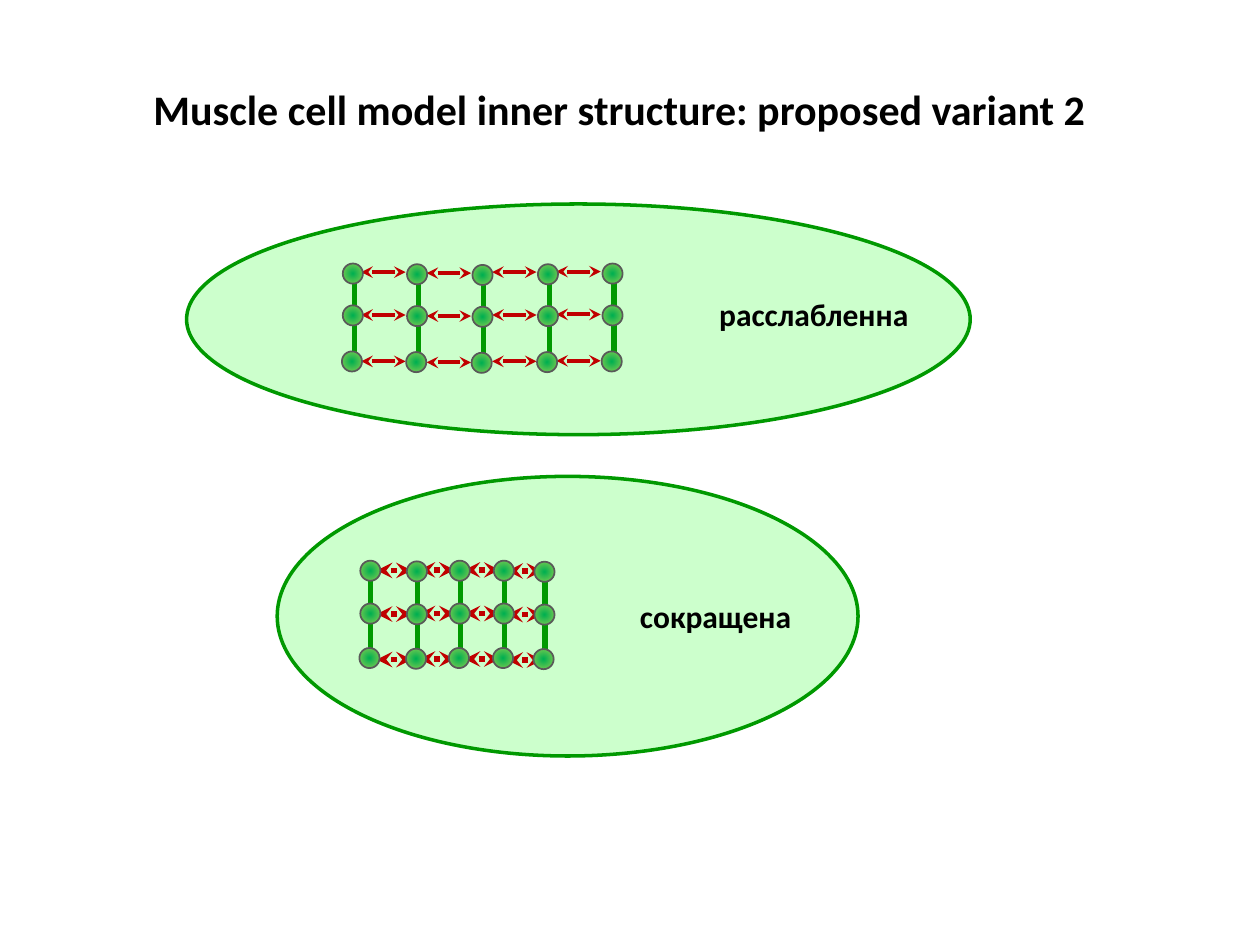
from itertools import product
from lxml.etree import SubElement
from pptx import Presentation
from pptx.dml.color import RGBColor
from pptx.enum.shapes import MSO_CONNECTOR, MSO_SHAPE
from pptx.enum.text import MSO_AUTO_SIZE
from pptx.oxml.ns import qn
from pptx.util import Pt

COLORS = {
    "cell": "CCFFCC", "fiber": "009900", "arrow": "C00000", "text": "000000",
    "node_center": "00B050", "node_edge": "92D050", "node_line": "595959",
}
NODE_SIZE = 11.5

presentation = Presentation()
presentation.slide_width, presentation.slide_height = Pt(720), Pt(540)
slide = presentation.slides.add_slide(presentation.slide_layouts[6])


def add_ellipse(left, top, width, height, line_color, line_width):
    shape = slide.shapes.add_shape(
        MSO_SHAPE.OVAL, Pt(left), Pt(top), Pt(width), Pt(height))
    shape.shadow.inherit = False
    shape.line.color.rgb = RGBColor.from_string(COLORS[line_color])
    shape.line.width = Pt(line_width)
    return shape


def add_line(start_x, start_y, end_x, end_y, color, width, arrowheads=()):
    connector = slide.shapes.add_connector(
        MSO_CONNECTOR.STRAIGHT, Pt(start_x), Pt(start_y), Pt(end_x), Pt(end_y))
    connector.line.color.rgb = RGBColor.from_string(COLORS[color])
    connector.line.width = Pt(width)
    for end in arrowheads:
        SubElement(connector.line._ln, qn(f"a:{end}"), type="stealth")
    SubElement(connector._element.spPr, qn("a:effectLst"))


cells = [
    {
        "outline": (158.4, 272.2, 331.9, 159.8),
        "columns": [205.9, 232.5, 257, 282.2, 305.4],
        "column_shifts": [0, 0.4, 0, 0, 0.6],
        "rows": [320.4, 344.9, 370.3],
        "fiber_offset": 6, "fiber_top": 324.8,
        "arrow_starts": [215.3, 239.8, 265.5, 289.9],
        "arrow_shifts": [0.3, 0, 0, 0.6],
        "arrow_rows": [325.7, 350.6, 376.6],
        "arrow_length": 20, "arrow_width": 3,
    },
    {
        "outline": (106.6, 116.6, 447.8, 131.8),
        "columns": [195.9, 232.6, 270, 307.4, 344.3],
        "column_shifts": [0, 0.4, 0.8, 0.4, 0],
        "rows": [150.6, 174.5, 200.8],
        "fiber_offset": 6.5, "fiber_top": 157,
        "arrow_starts": [206.4, 243.8, 281.2, 317.9],
        "arrow_shifts": [0, 0.6, 0, -0.3],
        "arrow_rows": [155.5, 180, 206.5],
        "arrow_length": 25.4, "arrow_width": 2.25,
    },
]

for cell in cells:
    outline = add_ellipse(*cell["outline"], "fiber", 2)
    outline.fill.solid()
    outline.fill.fore_color.rgb = RGBColor.from_string(COLORS["cell"])

for cell in cells:
    arrows = zip(cell["arrow_starts"], cell["arrow_shifts"])
    for (left, shift), row in product(arrows, cell["arrow_rows"]):
        y = row + shift
        add_line(left, y, left + cell["arrow_length"], y, "arrow",
                 cell["arrow_width"], ("headEnd", "tailEnd"))

    for left, shift in zip(cell["columns"], cell["column_shifts"]):
        x = left + cell["fiber_offset"]
        top = cell["fiber_top"] + shift
        add_line(x, top + 51, x, top, "fiber", 3)
        for index, row in enumerate(cell["rows"]):
            node_left = left - 0.5 if index == 2 else left
            node = add_ellipse(node_left, row + shift, NODE_SIZE, NODE_SIZE,
                               "node_line", 1)
            node.fill.gradient()
            for stop, name in zip(node.fill.gradient_stops,
                                  ("node_center", "node_edge")):
                stop.color.rgb = RGBColor.from_string(COLORS[name])
            gradient = node._element.spPr.find(qn("a:gradFill"))
            gradient.remove(gradient.find(qn("a:lin")))
            circle = SubElement(gradient, qn("a:path"), path="circle")
            SubElement(circle, qn("a:fillToRect"),
                       l="50000", t="50000", r="50000", b="50000")

labels = [
    ("Muscle cell model inner structure: proposed variant 2",
     80.6, 43.9, 552.2, 36, 24),
    ("расслабленна", 403.9, 164.9, 123.8, 28.8, 18),
    ("сокращена", 358.6, 337.7, 101.5, 28.8, 18),
]
for text, left, top, width, height, size in labels:
    text_box = slide.shapes.add_textbox(Pt(left), Pt(top), Pt(width), Pt(height))
    text_frame = text_box.text_frame
    text_frame.word_wrap = False
    text_frame.auto_size = MSO_AUTO_SIZE.SHAPE_TO_FIT_TEXT
    text_frame.text = text
    font = text_frame.paragraphs[0].runs[0].font
    for attribute, value in {"name": "Calibri", "size": Pt(size), "bold": True}.items():
        setattr(font, attribute, value)
    font.color.rgb = RGBColor.from_string(COLORS["text"])

presentation.save("out.pptx")
